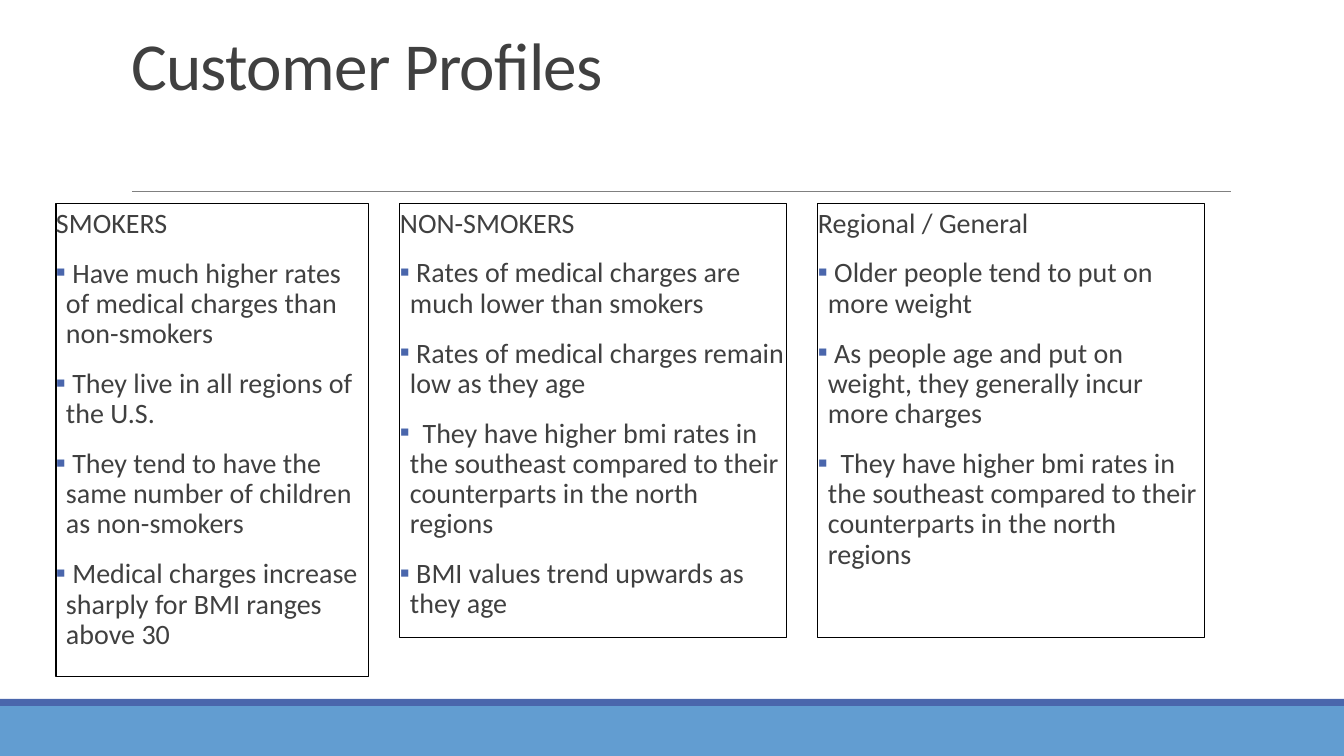
"""Builds the Customer Profiles slide with three bordered lists."""
from dataclasses import dataclass

from lxml.etree import SubElement
from pptx import Presentation
from pptx.dml.color import RGBColor
from pptx.enum.shapes import MSO_CONNECTOR, MSO_SHAPE
from pptx.enum.text import MSO_ANCHOR, MSO_AUTO_SIZE, PP_ALIGN
from pptx.oxml.ns import qn
from pptx.util import Pt

EMU_PER_PIXEL = 914400 / 100.8
SLIDE_WIDTH, SLIDE_HEIGHT = 1344, 756
PANEL_LEFT, PANEL_TOP, PANEL_GAP = 56, 204, 31
BULLET_INDENT = 10

PANELS = [
    (313, 473, "SMOKERS", [
        " Have much higher rates of medical charges than non-smokers",
        " They live in all regions of the U.S.",
        " They tend to have the same number of children as non-smokers",
        " Medical charges increase sharply for BMI ranges above 30",
    ]),
    (387, 434, "NON-SMOKERS", [
        " Rates of medical charges are much lower than smokers",
        " Rates of medical charges remain low as they age",
        "  They have higher bmi rates in the southeast compared to their counterparts in the north regions",
        " BMI values trend upwards as they age",
    ]),
    (387, 434, "Regional / General", [
        " Older people tend to put on more weight",
        " As people age and put on weight, they generally incur more charges",
        "  They have higher bmi rates in the southeast compared to their counterparts in the north regions",
    ]),
]


@dataclass(frozen=True)
class Theme:
    font: str = "Calibri"
    text: str = "404040"
    accent: str = "4A66AC"
    footer: str = "629DD1"
    rule: str = "808080"
    border: str = "000000"
    title_size: int = 48
    body_size: int = 20


def pixels(length):
    return round(length * EMU_PER_PIXEL)


def color(value):
    return RGBColor.from_string(value)


def write_text(paragraph, text, *, theme, size, line_spacing, before=0, after=0, tracking=None):
    paragraph.alignment = PP_ALIGN.LEFT
    paragraph.line_spacing = line_spacing
    paragraph.space_before, paragraph.space_after = Pt(before), Pt(after)
    run = paragraph.add_run()
    run.text = text
    run.font.name, run.font.size = theme.font, Pt(size)
    run.font.color.rgb = color(theme.text)
    if tracking is not None:
        run.font._element.set("spc", str(tracking))


class SlideBuilder:
    def __init__(self, slide, theme):
        self.slide = slide
        self.theme = theme

    def place(self, shape, left, top, width, height):
        shape.left, shape.top = pixels(left), pixels(top)
        shape.width, shape.height = pixels(width), pixels(height)

    def band(self, top, height, fill):
        shape = self.slide.shapes.add_shape(
            MSO_SHAPE.RECTANGLE, 0, pixels(top), pixels(SLIDE_WIDTH), pixels(height))
        shape.shadow.inherit = False
        shape.fill.solid()
        shape.fill.fore_color.rgb = color(fill)
        shape.line.fill.background()

    def rule(self, left, right, top):
        connector = self.slide.shapes.add_connector(
            MSO_CONNECTOR.STRAIGHT, pixels(left), pixels(top), pixels(right), pixels(top))
        connector.line.color.rgb = color(self.theme.rule)
        connector.line.width = Pt(0.5)
        SubElement(connector._element.spPr, qn("a:effectLst"))

    def title(self, text, left, top, width, height):
        shape = self.slide.shapes.title
        self.place(shape, left, top, width, height)
        frame = shape.text_frame
        frame.word_wrap, frame.auto_size = True, MSO_AUTO_SIZE.NONE
        frame.vertical_anchor = MSO_ANCHOR.TOP
        write_text(frame.paragraphs[0], text, theme=self.theme,
                   size=self.theme.title_size, line_spacing=0.85, tracking=-50)

    def bullet(self, paragraph, character=None):
        properties = paragraph._p.get_or_add_pPr()
        indent = pixels(BULLET_INDENT) if character else 0
        properties.set("marL", str(indent))
        properties.set("indent", str(-indent))
        if character is None:
            SubElement(properties, qn("a:buNone"))
            return
        bullet_color = SubElement(properties, qn("a:buClr"))
        SubElement(bullet_color, qn("a:srgbClr"), val=self.theme.accent)
        SubElement(properties, qn("a:buFont"), typeface=self.theme.font)
        SubElement(properties, qn("a:buChar"), char=character)

    def panel(self, shape, heading, items, left, top, width, height):
        self.place(shape, left, top, width, height)
        shape.line.color.rgb = color(self.theme.border)
        shape.line.width = Pt(0.75)
        frame = shape.text_frame
        frame.word_wrap, frame.auto_size = True, MSO_AUTO_SIZE.NONE
        frame.vertical_anchor = MSO_ANCHOR.TOP
        frame.margin_left = frame.margin_right = 0
        frame.margin_top = frame.margin_bottom = pixels(5)
        for index, text in enumerate([heading, *items]):
            paragraph = frame.add_paragraph() if index else frame.paragraphs[0]
            write_text(paragraph, text, theme=self.theme, size=self.theme.body_size,
                       line_spacing=0.9, before=12, after=2)
            self.bullet(paragraph, "▪" if index else None)

    def panels(self, contents):
        left = PANEL_LEFT
        for index, (width, height, heading, items) in enumerate(contents):
            if index == 0:
                shape = self.slide.placeholders[1]
            else:
                shape = self.slide.shapes.add_textbox(0, 0, 0, 0)
            self.panel(shape, heading, items, left, PANEL_TOP, width, height)
            left += width + PANEL_GAP


def main():
    presentation = Presentation()
    presentation.slide_width = pixels(SLIDE_WIDTH)
    presentation.slide_height = pixels(SLIDE_HEIGHT)
    slide = presentation.slides.add_slide(presentation.slide_layouts[1])
    theme = Theme()
    builder = SlideBuilder(slide, theme)
    builder.band(706, 50, theme.footer)
    builder.band(699, 7, theme.accent)
    builder.rule(132, 1231, 191)
    builder.title("Customer Profiles", 121, 31, 1109, 160)
    builder.panels(PANELS)
    presentation.save("out.pptx")


if __name__ == "__main__":
    main()
